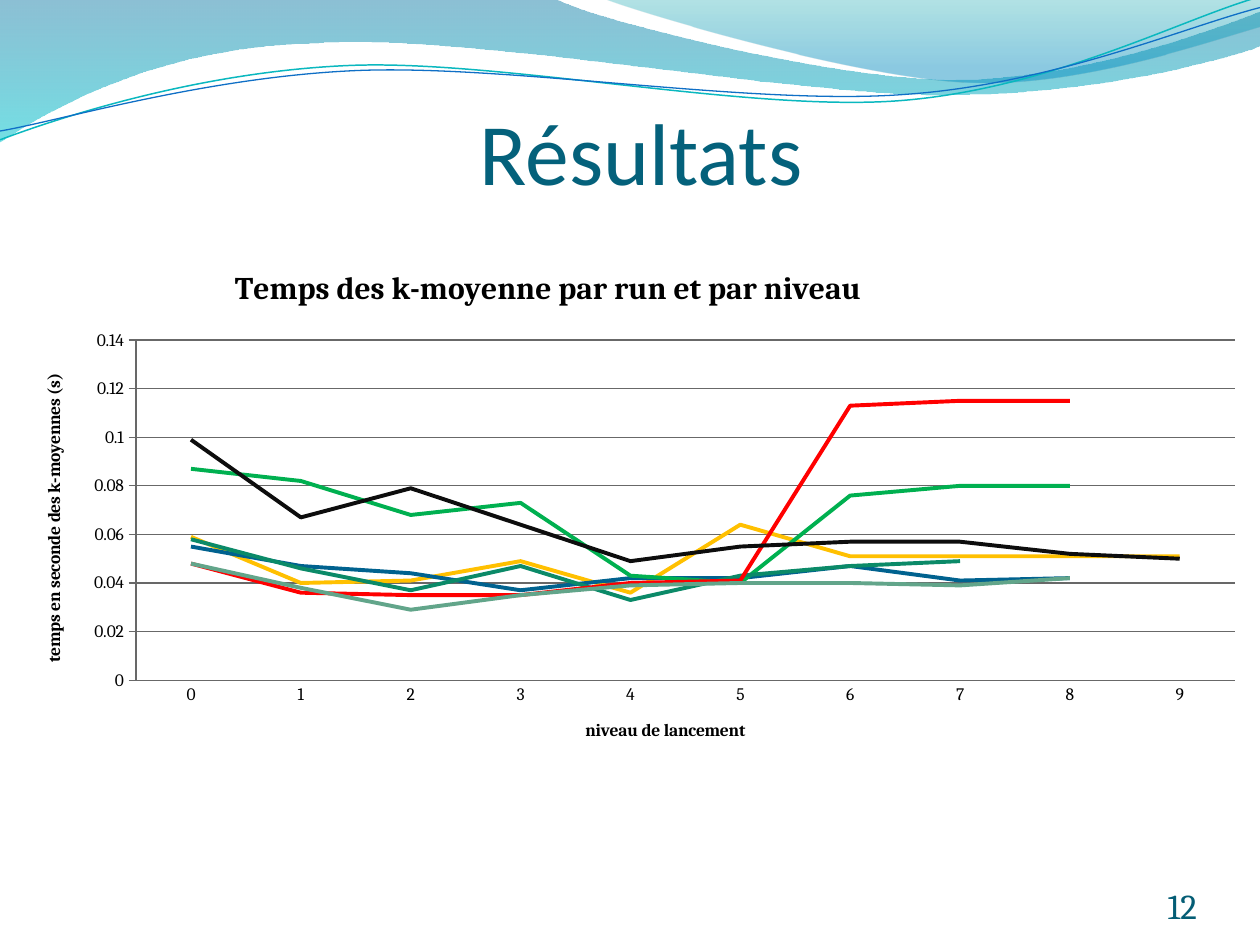
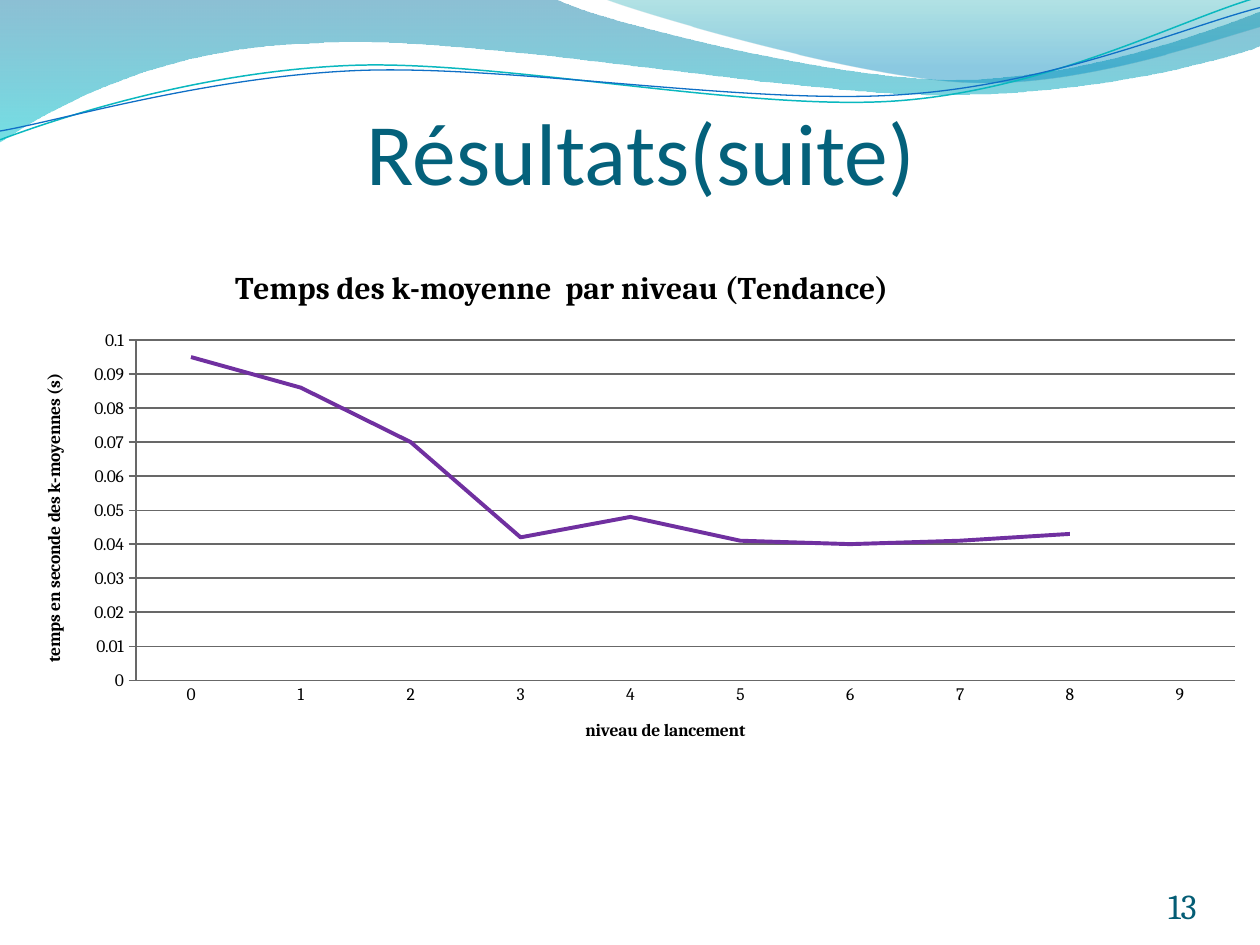
"""Builds two result slides with line charts of k-means times."""
import math
from lxml import etree
from pptx import Presentation, util as u
from pptx.chart import data as cd
from pptx.dml import color as dml
from pptx.enum import chart as ce, text as te
from pptx.oxml import ns

PX = 9144
TILT = 357.3
CHART = (12, 202, 988, 407)
PLOT = (108, 270, 872, 270)
CATS = [str(n) for n in range(10)]
TITLE_FONT = dict(name="Calibri", size=u.Pt(50), bold=False)
NUMBER_FONT = dict(name="Cambria", size=u.Pt(20))
CHART_FONT = dict(name="Cambria", size=u.Pt(10))
HEADING_FONT = dict(name="Cambria", size=u.Pt(18), bold=True)
AXIS_FONT = dict(name="Cambria", size=u.Pt(10), bold=True)

WAVES = [
    dict(points=[(0, 0), (440, -1), (476, 17, 664, 63, 758, 63), (853, 63, 958, 26, 1000, 9),
                 (1001, 36), (983, 44, 870, 76, 746, 75), (622, 75, 382, 28, 257, 34),
                 (129, 36, 46, 83, -1, 113), (0, 0)],
         stops=[(0, "0074A1", 45), (1, "00C6CF", 55)]),
    dict(points=[(479, -1), (509, 11, 682, 62, 769, 65), (856, 69, 961, 32, 1000, 21),
                 (1000, 0), (479, -1)],
         stops=[(0, "00A1A9", 30), (0.8, "008BBF", 45)]),
]
STRANDS = [
    dict(points=[(0, 111), (48, 93, 158, 57, 277, 52), (395, 47, 593, 89, 713, 80),
                 (833, 71, 938, 15, 998, -2)],
         center=(499, 57), color="0AB8BF", width=0.85),
    dict(points=[(0, 104), (47, 96, 164, 61, 283, 56), (403, 51, 597, 84, 717, 75),
                 (836, 67, 941, 21, 1000, 6)],
         center=(499, 59), color="0F6FC6", width=0.75),
]
RUNS = [
    ("FFC000", [0.059, 0.04, 0.041, 0.049, 0.036, 0.064, 0.051, 0.051, 0.051, 0.051]),
    ("00628F", [0.055, 0.047, 0.044, 0.037, 0.042, 0.042, 0.047, 0.041, 0.042]),
    ("00B050", [0.087, 0.082, 0.068, 0.073, 0.043, 0.04, 0.076, 0.08, 0.08]),
    ("0B8A68", [0.058, 0.046, 0.037, 0.047, 0.033, 0.043, 0.047, 0.049]),
    ("FF0000", [0.048, 0.036, 0.035, 0.035, 0.04, 0.041, 0.113, 0.115, 0.115]),
    ("0D0D0D", [0.099, 0.067, 0.079, 0.064, 0.049, 0.055, 0.057, 0.057, 0.052, 0.05]),
    ("62A58A", [0.048, 0.038, 0.029, 0.035, 0.039, 0.04, 0.04, 0.039, 0.042]),
]
TREND = [("7030A0", [0.095, 0.086, 0.07, 0.042, 0.048, 0.041, 0.04, 0.041, 0.043])]


def rgb(value):
    return dml.RGBColor.from_string(value)


def apply(obj, values):
    for key, value in values.items():
        setattr(obj, key, value)


def pairs(point):
    return list(zip(point[::2], point[1::2]))


def turn(point, center, degrees):
    """Rotates every x, y pair of a point about a center."""
    cos, sin = math.cos(math.radians(degrees)), math.sin(math.radians(degrees))
    out = []
    for x, y in pairs(point):
        dx, dy = x - center[0], y - center[1]
        out += [center[0] + dx * cos - dy * sin, center[1] + dx * sin + dy * cos]
    return out


def place(element, x, y, w=None, h=None):
    """Gives a chart part a fixed position, in px on the slide."""
    for old in element.xpath("c:layout"):
        element.remove(old)
    layout = etree.Element(ns.qn("c:layout"))
    manual = etree.SubElement(layout, ns.qn("c:manualLayout"))
    values = dict(xMode="edge", yMode="edge", x=(x - CHART[0]) / CHART[2],
                  y=(y - CHART[1]) / CHART[3])
    if w:
        values = dict(layoutTarget="inner", **values, w=w / CHART[2], h=h / CHART[3])
    for tag, value in values.items():
        etree.SubElement(manual, ns.qn("c:" + tag)).set("val", str(value))
    element.insert(len(element.xpath("c:tx")), layout)


class Deck:
    """Holds the presentation, its style and the current slide."""

    def __init__(self):
        self.prs = Presentation()
        self.prs.slide_width, self.prs.slide_height = 1000 * PX, 750 * PX

    def slide(self, title, number):
        self.s = self.prs.slides.add_slide(self.prs.slide_layouts[5])
        sp = self.s.shapes.title
        apply(sp, dict(left=51 * PX, top=36 * PX, width=900 * PX, height=125 * PX))
        self.text(sp, title, TITLE_FONT, "04617B", te.PP_ALIGN.CENTER, 5)
        box = self.s.shapes.add_textbox(867 * PX, 695 * PX, 83 * PX, 40 * PX)
        self.text(box, number, NUMBER_FONT, "045D75", te.PP_ALIGN.RIGHT)

    def band(self):
        """Draws the waves and moves them to the back of the master."""
        parts = [self.wave(**wave) for wave in WAVES]
        strands = [self.strand(**strand) for strand in STRANDS]
        parts.append(self.s.shapes.add_group_shape(strands))
        tree = self.prs.slide_master.shapes.element
        for n, sp in enumerate(parts):
            tree.insert(2 + n, sp.element)
        for n, node in enumerate(tree.xpath(".//p:cNvPr"), 1):
            node.set("id", str(n))

    def text(self, sp, words, font, color, align, inset=0):
        tf = sp.text_frame
        apply(tf, dict(margin_left=0, margin_top=inset * PX, margin_right=0, margin_bottom=0,
                       word_wrap=True, auto_size=te.MSO_AUTO_SIZE.NONE,
                       vertical_anchor=te.MSO_ANCHOR.BOTTOM))
        p = tf.paragraphs[0]
        p.alignment = align
        r = p.add_run()
        r.text = words
        self.font(r.font, font, color)

    def font(self, font, values, color="000000"):
        apply(font, values)
        font.color.rgb = rgb(color)

    def outline(self, points, close):
        corners = [(p[-2] * PX, p[-1] * PX) for p in points]
        builder = self.s.shapes.build_freeform(*corners[0])
        builder.add_line_segments(corners[1:], close=close)
        sp = builder.convert_to_shape()
        sp.shadow.inherit = False
        for node, point in zip(sp.element.xpath(".//a:lnTo"), points[1:]):
            if len(point) == 6:
                node.tag = ns.qn("a:cubicBezTo")
                for n, (x, y) in enumerate(pairs(point)[:2]):
                    pt = etree.Element(ns.qn("a:pt"))
                    pt.set("x", str(round(x * PX - sp.left)))
                    pt.set("y", str(round(y * PX - sp.top)))
                    node.insert(n, pt)
        return sp

    def wave(self, points, stops):
        sp = self.outline(points, True)
        sp.line.fill.background()
        sp.fill.gradient()
        sp.fill.gradient_angle = 270
        for stop, (position, color, _) in zip(sp.fill.gradient_stops, stops):
            stop.position = position
            stop.color.rgb = rgb(color)
        for node, (_, _, opacity) in zip(sp.element.xpath(".//a:gs/a:srgbClr"), stops):
            etree.SubElement(node, ns.qn("a:alpha")).set("val", str(opacity * 1000))
        return sp

    def strand(self, points, center, color, width):
        sp = self.outline([turn(point, center, -TILT) for point in points], False)
        sp.rotation = TILT
        sp.fill.background()
        sp.line.color.rgb = rgb(color)
        sp.line.width = u.Pt(width)
        return sp

    def heading(self, owner, words, font, x, y):
        p = owner.text_frame.paragraphs[0]
        r = p.add_run()
        r.text = words
        self.font(r.font, font)
        place(owner.element, x, y)

    def chart(self, title, series, top, step):
        data = cd.CategoryChartData()
        data.categories = CATS
        for n, (_, values) in enumerate(series, 1):
            data.add_series(f"Series {n}", values)
        frame = self.s.shapes.add_chart(ce.XL_CHART_TYPE.LINE, *(v * PX for v in CHART), data)
        chart = frame.chart
        chart.has_legend = False
        self.font(chart.font, CHART_FONT)
        place(chart.element.xpath(".//c:plotArea")[0], *PLOT)
        self.heading(chart.chart_title, title, HEADING_FONT, 182, 207)

        cat, val = chart.category_axis, chart.value_axis
        marks = ce.XL_TICK_MARK
        apply(cat, dict(major_tick_mark=marks.NONE, minor_tick_mark=marks.NONE))
        apply(val, dict(major_tick_mark=marks.OUTSIDE, minor_tick_mark=marks.NONE,
                        minimum_scale=0, maximum_scale=top, major_unit=step,
                        has_major_gridlines=True))
        apply(val.tick_labels, dict(number_format="General", number_format_is_linked=False))
        for line in (cat.format.line, val.format.line, val.major_gridlines.format.line):
            line.color.rgb = rgb("686868")
            line.width = u.Pt(0.75)
        self.heading(cat.axis_title, "niveau de lancement", AXIS_FONT, 462, 568)
        self.heading(val.axis_title, "temps en seconde des k-moyennes (s)", AXIS_FONT, 31, 294)

        plot = chart.plots[0]
        plot.vary_by_categories = False
        for line, (color, _) in zip(plot.series, series):
            line.smooth = False
            line.marker.style = ce.XL_MARKER_STYLE.NONE
            line.format.line.color.rgb = rgb(color)
            line.format.line.width = u.Pt(2.25)


def main():
    deck = Deck()
    deck.slide(" Résultats", "12")
    deck.band()
    deck.chart("Temps des k-moyenne par run et par niveau", RUNS, 0.14, 0.02)
    deck.slide(" Résultats(suite)", "13")
    deck.chart("Temps des k-moyenne  par niveau (Tendance)", TREND, 0.1, 0.01)
    deck.prs.save("out.pptx")


if __name__ == "__main__":
    main()
